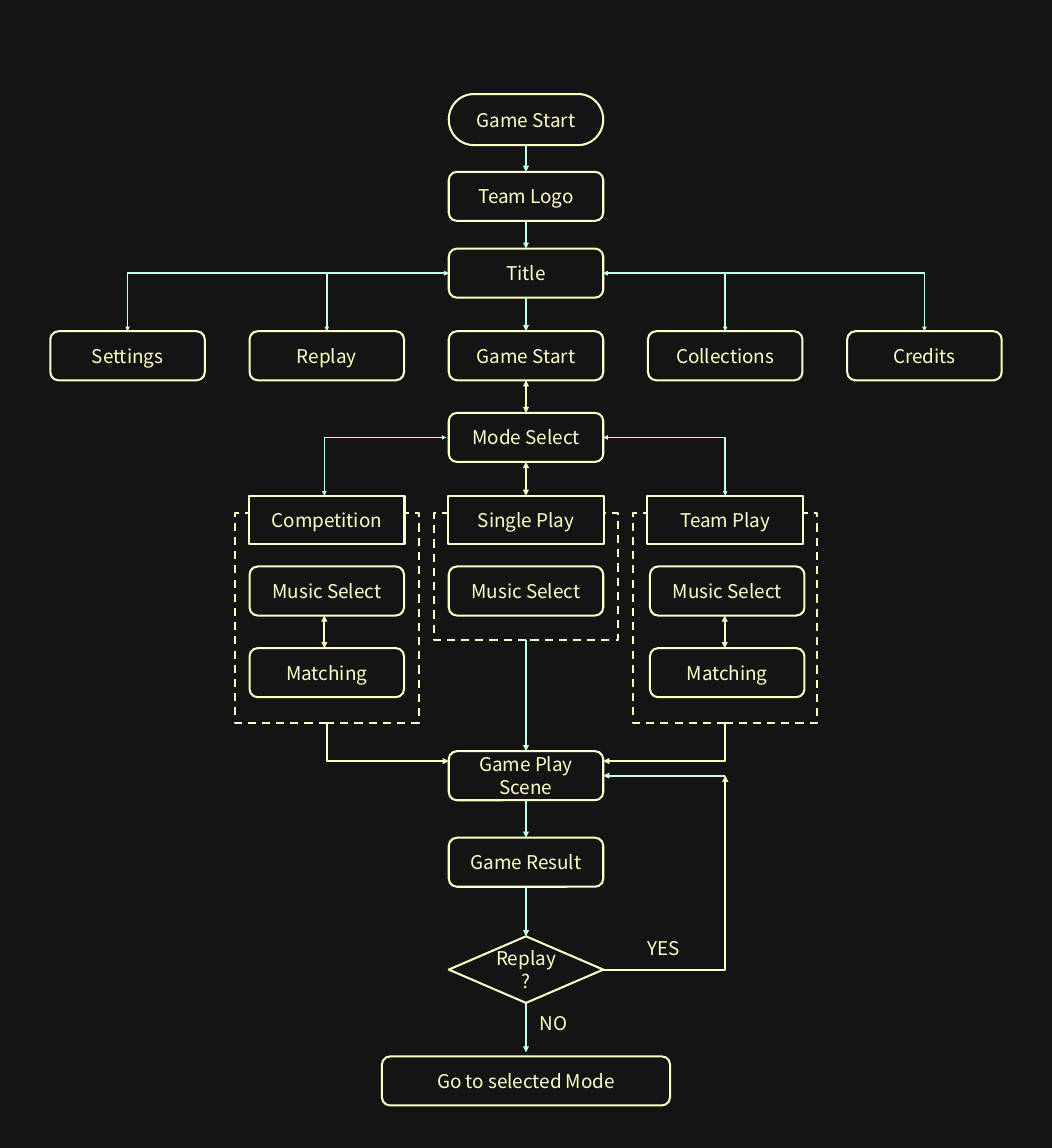
from dataclasses import dataclass

from lxml.etree import SubElement
from pptx import Presentation
from pptx.dml.color import RGBColor
from pptx.enum.dml import MSO_LINE
from pptx.enum.shapes import MSO_CONNECTOR, MSO_SHAPE
from pptx.enum.text import MSO_ANCHOR, PP_ALIGN
from pptx.oxml.ns import qn
from pptx.shapes.shapetree import SlideShapes
from pptx.util import Inches, Pt

INK = RGBColor(0x14, 0x14, 0x14)
CREAM = RGBColor(0xFF, 0xFF, 0xC8)
MINT = RGBColor(0xC6, 0xFF, 0xF0)
FONT = "Noto Sans CJK KR"
WIDTH, HEIGHT = 21.65, 23.62
COLUMN_PITCH = 4.1
ROW_CENTERS = (2.46, 4.04, 5.62, 7.32, 9.0, 10.7, 12.16, 13.84, 15.96, 17.74, 19.95, 22.24)
STEP_WIDTH, STEP_HEIGHT = 3.18, 1.01
FRAME_TOP = 10.55
ENTRY_RISE = 0.3


@dataclass(frozen=True)
class Node:
    text: str
    column: float
    center_y: float
    width: float = STEP_WIDTH
    height: float = STEP_HEIGHT
    outline: MSO_SHAPE = MSO_SHAPE.FLOWCHART_ALTERNATE_PROCESS
    bordered: bool = True
    dashed: bool = False
    align: PP_ALIGN = PP_ALIGN.CENTER

    @property
    def center_x(self) -> float:
        return WIDTH / 2 + self.column * COLUMN_PITCH

    @property
    def top(self) -> float:
        return self.center_y - self.height / 2

    @property
    def bottom(self) -> float:
        return self.center_y + self.height / 2

    def side(self, direction: int) -> float:
        return self.center_x + direction * self.width / 2


@dataclass(frozen=True)
class Flow:
    source: Node
    target: Node
    color: RGBColor = MINT
    two_way: bool = False
    shift: float = 0
    gap: float = 0


def step(text: str, column: float, row: int, width: float = STEP_WIDTH) -> Node:
    return Node(text, column, ROW_CENTERS[row], width)


def mode(text: str, column: float) -> Node:
    return Node(text, column, ROW_CENTERS[5], 3.2, 1, MSO_SHAPE.RECTANGLE)


def frame(column: float, height: float) -> Node:
    return Node("", column, FRAME_TOP + height / 2, 3.79, height, MSO_SHAPE.RECTANGLE, dashed=True)


def draw_node(shapes: SlideShapes, node: Node) -> None:
    shape = shapes.add_shape(
        node.outline, Inches(node.side(-1)), Inches(node.top), Inches(node.width), Inches(node.height)
    )
    shape.shadow.inherit = False
    shape.fill.solid()
    shape.fill.fore_color.rgb = INK
    if node.bordered:
        shape.line.color.rgb = CREAM
        shape.line.width = Pt(3)
    else:
        shape.line.fill.background()
    if node.dashed:
        shape.line.dash_style = MSO_LINE.DASH
    if node.text:
        shape.text_frame.word_wrap = True
        shape.text_frame.vertical_anchor = MSO_ANCHOR.MIDDLE
        paragraph = shape.text_frame.paragraphs[0]
        paragraph.text = node.text
        paragraph.alignment = node.align
        paragraph.font.name = FONT
        paragraph.font.size = Pt(28)
        paragraph.font.color.rgb = CREAM


def draw_line(
    shapes: SlideShapes,
    start: tuple[float, float],
    end: tuple[float, float],
    color: RGBColor,
    arrows: tuple[str, ...] = ("tailEnd",),
    weight: float = 3,
) -> None:
    bent = start[0] != end[0] and start[1] != end[1]
    kind = MSO_CONNECTOR.ELBOW if bent else MSO_CONNECTOR.STRAIGHT
    line = shapes.add_connector(kind, *map(Inches, start + end))
    line.line.color.rgb = color
    line.line.width = Pt(weight)
    properties = line._element.spPr
    if bent:
        properties.find(qn("a:prstGeom")).set("prst", "bentConnector2")
    for arrow in arrows:
        SubElement(properties.find(qn("a:ln")), qn(f"a:{arrow}"), type="triangle")
    SubElement(properties, qn("a:effectLst"))


def draw_descent(shapes: SlideShapes, flow: Flow) -> None:
    x = flow.source.center_x + flow.shift
    arrows = ("headEnd", "tailEnd") if flow.two_way else ("tailEnd",)
    draw_line(shapes, (x, flow.source.bottom), (x, flow.target.top - flow.gap), flow.color, arrows)


def draw_branch(shapes: SlideShapes, flow: Flow) -> None:
    direction = 1 if flow.target.column > flow.source.column else -1
    start = (flow.source.side(direction) + flow.shift, flow.source.center_y)
    end = (flow.target.center_x + flow.shift, flow.target.top)
    draw_line(shapes, start, end, flow.color, ("headEnd", "tailEnd"), 2.25)


def main() -> None:
    launch = Node("Game Start", 0, ROW_CENTERS[0], height=1.05, outline=MSO_SHAPE.FLOWCHART_TERMINATOR)
    team_logo = step("Team Logo", 0, 1)
    title = step("Title", 0, 2)
    menu = [
        step(text, column, 3)
        for column, text in enumerate(("Settings", "Replay", "Game Start", "Collections", "Credits"), -2)
    ]
    game_start = menu[2]
    mode_select = step("Mode Select", 0, 4)
    competition, single_play, team_play = (
        mode(text, column) for column, text in enumerate(("Competition", "Single Play", "Team Play"), -1)
    )
    competition_frame, single_frame, team_frame = frame(-1, 4.32), frame(0, 2.62), frame(1, 4.32)
    competition_music, single_music, team_music = (step("Music Select", c, 6) for c in (-1, 0, 1.01))
    competition_matching, team_matching = (step("Matching", c, 7) for c in (-1, 1.01))
    scene = step("Game Play Scene", 0, 8)
    result = step("Game Result", 0, 9)
    replay = Node("Replay?", 0, ROW_CENTERS[10], height=1.37, outline=MSO_SHAPE.FLOWCHART_DECISION)
    go_to_mode = step("Go to selected Mode", 0, 11, 5.93)
    yes = Node("YES", 0.69, 19.5, 1.51, 0.67, bordered=False)
    no = Node("NO", 0.22, 21.04, 1.51, 0.67, bordered=False, align=PP_ALIGN.LEFT)

    nodes = [
        competition_frame, single_frame, team_frame, launch, team_logo, title, *menu, mode_select,
        competition, single_play, team_play, competition_music, single_music, team_music,
        competition_matching, team_matching, scene, result, replay, go_to_mode, yes, no,
    ]
    descents = [
        Flow(launch, team_logo),
        Flow(team_logo, title),
        Flow(title, game_start),
        Flow(game_start, mode_select, CREAM, True),
        Flow(mode_select, single_play, CREAM, True),
        Flow(competition_music, competition_matching, CREAM, True, -0.05),
        Flow(team_music, team_matching, CREAM, True, -0.05),
        Flow(single_frame, scene),
        Flow(scene, result),
        Flow(result, replay),
        Flow(replay, go_to_mode, gap=0.08),
    ]
    branches = [Flow(title, page) for page in menu if page is not game_start]
    branches += [Flow(mode_select, competition, shift=-0.05), Flow(mode_select, team_play)]

    presentation = Presentation()
    presentation.slide_width, presentation.slide_height = Inches(WIDTH), Inches(HEIGHT)
    slide = presentation.slides.add_slide(presentation.slide_layouts[6])
    slide.background.fill.solid()
    slide.background.fill.fore_color.rgb = INK
    shapes = slide.shapes

    for node in nodes:
        draw_node(shapes, node)
    for flow in descents:
        draw_descent(shapes, flow)
    for flow in branches:
        draw_branch(shapes, flow)
    for direction, origin in ((-1, competition_frame), (1, team_frame)):
        entry = (scene.side(direction), scene.center_y - ENTRY_RISE)
        draw_line(shapes, entry, (origin.center_x, origin.bottom), CREAM, ("headEnd",))
    loop_corner = (team_frame.center_x, scene.center_y)
    draw_line(shapes, loop_corner, (scene.side(1), scene.center_y), MINT)
    draw_line(shapes, (replay.side(1), replay.center_y), loop_corner, CREAM)
    presentation.save("out.pptx")


if __name__ == "__main__":
    main()
